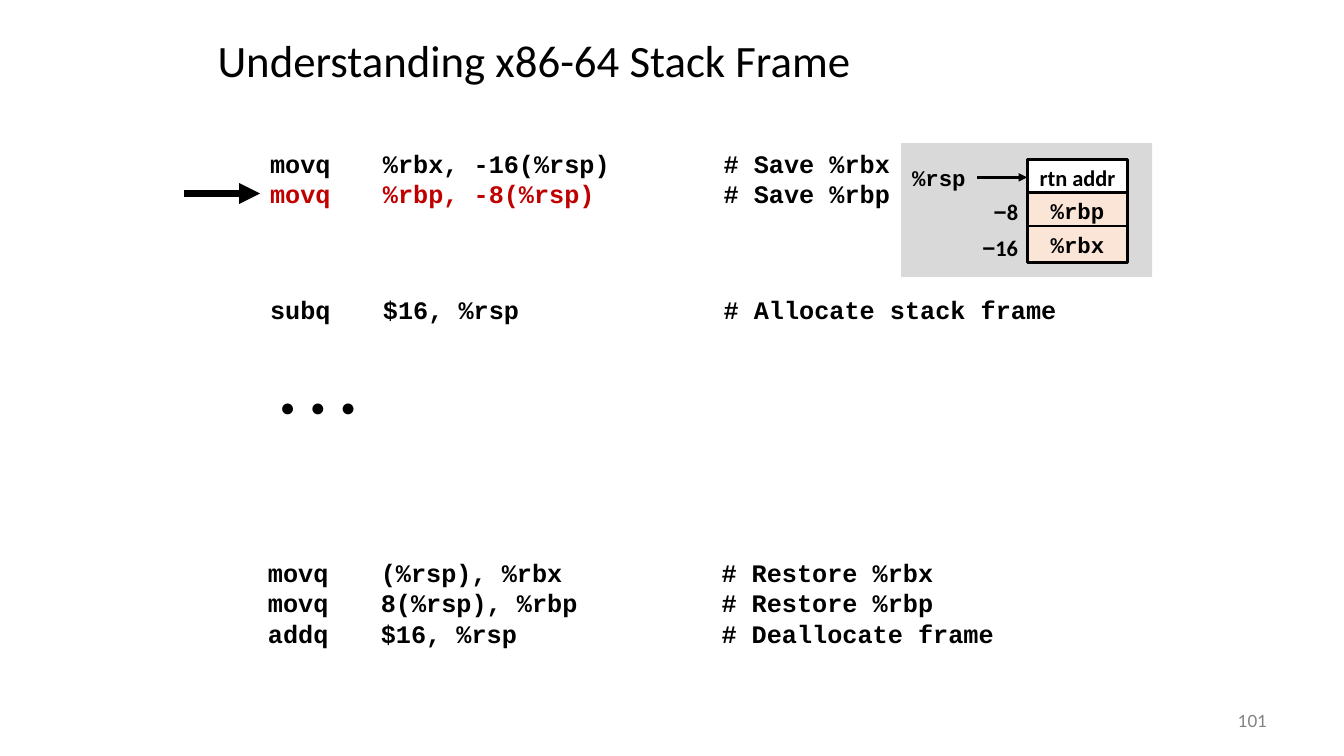
from lxml import etree
from pptx import Presentation
from pptx.dml.color import RGBColor
from pptx.enum.shapes import MSO_CONNECTOR, MSO_SHAPE
from pptx.enum.text import MSO_ANCHOR, PP_ALIGN
from pptx.oxml.ns import qn
from pptx.util import Pt

LEFT, CENTER, RIGHT = PP_ALIGN.LEFT, PP_ALIGN.CENTER, PP_ALIGN.RIGHT
TOP, MIDDLE = MSO_ANCHOR.TOP, MSO_ANCHOR.MIDDLE
STRAIGHT, RECTANGLE = MSO_CONNECTOR.STRAIGHT, MSO_SHAPE.RECTANGLE

BLACK, WHITE, RED = "000000", "FFFFFF", "C00000"
PANEL_GRAY, NUMBER_GRAY, PEACH = "D9D9D9", "808080", "FBE5D6"
BODY, MONO, SYMBOL, NUMBER = "Calibri", "Courier New", "Arial", "Lato"

TITLE = "Understanding x86-64 Stack Frame"
PAGE_NUMBER = "101"
ELLIPSIS = "● ● ●"
# Each line: instruction, operands, remark, colour, space before
SAVE_CODE = [
    ("movq", "%rbx, -16(%rsp)", "# Save %rbx", BLACK, 0),
    ("movq", "%rbp, -8(%rsp)", "# Save %rbp", RED, 0),
    ("subq", "$16, %rsp", "# Allocate stack frame", BLACK, 61.2),
]
RESTORE_CODE = [
    ("movq", "(%rsp), %rbx", "# Restore %rbx", BLACK, 0),
    ("movq", "8(%rsp), %rbp", "# Restore %rbp", BLACK, 0),
    ("addq", "$16, %rsp", "# Deallocate frame", BLACK, 0),
]
STACK_CELLS = [("rtn addr", BODY, WHITE), ("%rbp", MONO, PEACH), ("%rbx", MONO, PEACH)]
STACK_OFFSETS = ["8", "16"]

CODE_TABS = (36, 116.64, 360)
CELL_LEFT, CELL_TOP, CELL_PITCH = 733.7, 113.7, 23.9
CELL_WIDTH, CELL_HEIGHT = 72, 26
OFFSET_TOP, OFFSET_PITCH = 138.2, 25.2


def color(hex_code):
    return RGBColor.from_string(hex_code)


def style(font, name, size, hex_code, bold=False):
    font.name, font.size, font.bold = name, Pt(size), bold
    font.color.rgb = color(hex_code)


def add_box(left, top, width, height, anchor=TOP, wrap=True, inset=7.2):
    box = slide.shapes.add_textbox(Pt(left), Pt(top), Pt(width), Pt(height))
    frame = box.text_frame
    frame.word_wrap, frame.vertical_anchor = wrap, anchor
    frame.margin_left = frame.margin_right = Pt(inset)
    return box


def write(shape, text, name, size, hex_code=BLACK, bold=False, align=LEFT):
    """Fill the first paragraph of a shape and return it."""
    paragraph = shape.text_frame.paragraphs[0]
    paragraph.text, paragraph.alignment = text, align
    style(paragraph.font, name, size, hex_code, bold)
    return paragraph


def add_rectangle(left, top, width, height, fill):
    shape = slide.shapes.add_shape(RECTANGLE, Pt(left), Pt(top), Pt(width), Pt(height))
    shape.shadow.inherit = False
    shape.fill.solid()
    shape.fill.fore_color.rgb = color(fill)
    shape.line.fill.background()
    return shape


def add_arrow(start, end, width):
    arrow = slide.shapes.add_connector(STRAIGHT, *[Pt(value) for value in start + end])
    arrow.line.color.rgb = color(BLACK)
    arrow.line.width = Pt(width)
    etree.SubElement(arrow.line._get_or_add_ln(), qn("a:tailEnd"), type="triangle")
    etree.SubElement(arrow._element.spPr, qn("a:effectLst"))
    return arrow


def add_code(left, top, height, lines):
    """Place instructions, operands and remarks on shared tab stops."""
    frame = add_box(left, top, 678, height).text_frame
    for index, (instruction, operands, remark, hex_code, space) in enumerate(lines):
        paragraph = frame.add_paragraph() if index else frame.paragraphs[0]
        tabs = etree.SubElement(paragraph._p.get_or_add_pPr(), qn("a:tabLst"))
        for stop in CODE_TABS:
            etree.SubElement(tabs, qn("a:tab"), pos=str(Pt(stop)), algn="l")
        if space:
            paragraph.space_before = Pt(space)
        style(paragraph.font, MONO, 18, BLACK, True)
        command = paragraph.add_run()
        command.text = f"\t{instruction}\t{operands}"
        command.font.color.rgb = color(hex_code)
        paragraph.add_run().text = f"\t{remark}"


presentation = Presentation()
presentation.slide_width, presentation.slide_height = Pt(960), Pt(540)
slide = presentation.slides.add_slide(presentation.slide_layouts[6])

title_box = add_box(148.3, 15.1, 597.6, 59.8, MIDDLE)
write(title_box, TITLE, BODY, 32).line_spacing = 0.9

# Stack diagram
add_rectangle(643.7, 102.2, 179.3, 95.8, PANEL_GRAY)
cells = []
for index, (text, font_name, fill) in enumerate(STACK_CELLS):
    cell = add_rectangle(CELL_LEFT, CELL_TOP + index * CELL_PITCH,
                         CELL_WIDTH, CELL_HEIGHT, fill)
    cell.line.color.rgb = color(BLACK)
    cell.line.width = Pt(2)
    cell.text_frame.word_wrap = False
    cell.text_frame.vertical_anchor = MIDDLE
    write(cell, text, font_name, 16, bold=True, align=CENTER)
    cells.append(cell)

pointer_label = add_box(644.4, 113.4, 53.3, 26.6, wrap=False)
write(pointer_label, "%rsp", MONO, 16, bold=True)
pointer = add_arrow((697.7, 126.7), (CELL_LEFT, 126.7), 2)
pointer.begin_connect(pointer_label, 3)
pointer.end_connect(cells[0], 1)

for index, offset in enumerate(STACK_OFFSETS):
    offset_box = add_box(673.2, OFFSET_TOP + index * OFFSET_PITCH, 57.6, 26.6, inset=3.6)
    paragraph = offset_box.text_frame.paragraphs[0]
    paragraph.alignment = RIGHT
    for text, font_name in (("−", SYMBOL), (offset, BODY)):
        run = paragraph.add_run()
        run.text = text
        style(run.font, font_name, 16, BLACK, True)

# Code listing
add_code(149.8, 102.2, 138.2, SAVE_CODE)
write(add_box(193, 275.8, 77, 28.8, wrap=False), ELLIPSIS, MONO, 18)
add_code(148.3, 394.6, 72.7, RESTORE_CODE)
add_arrow((131.8, 138.2), (185.8, 138.2), 5)

number_box = add_box(840.2, 500.4, 72, 28.8, MIDDLE)
write(number_box, PAGE_NUMBER, NUMBER, 12, NUMBER_GRAY, align=RIGHT)

presentation.save("out.pptx")
